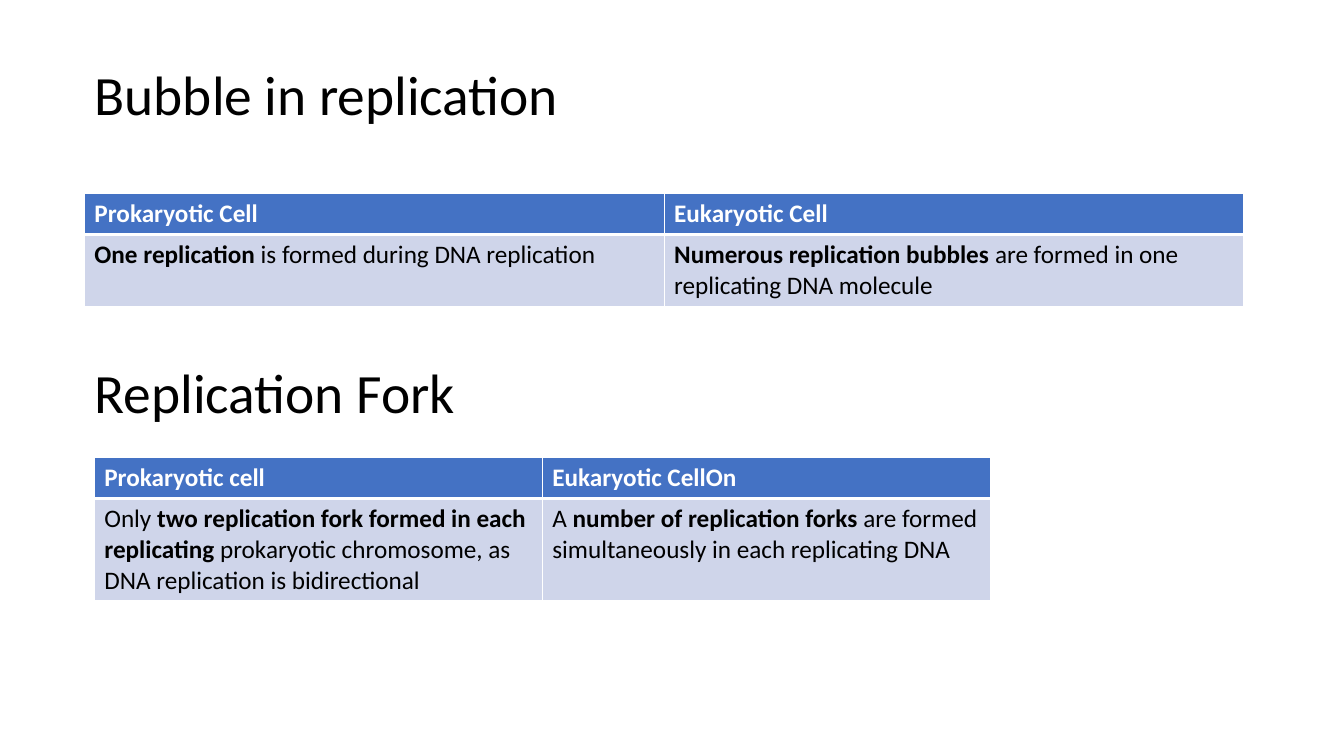
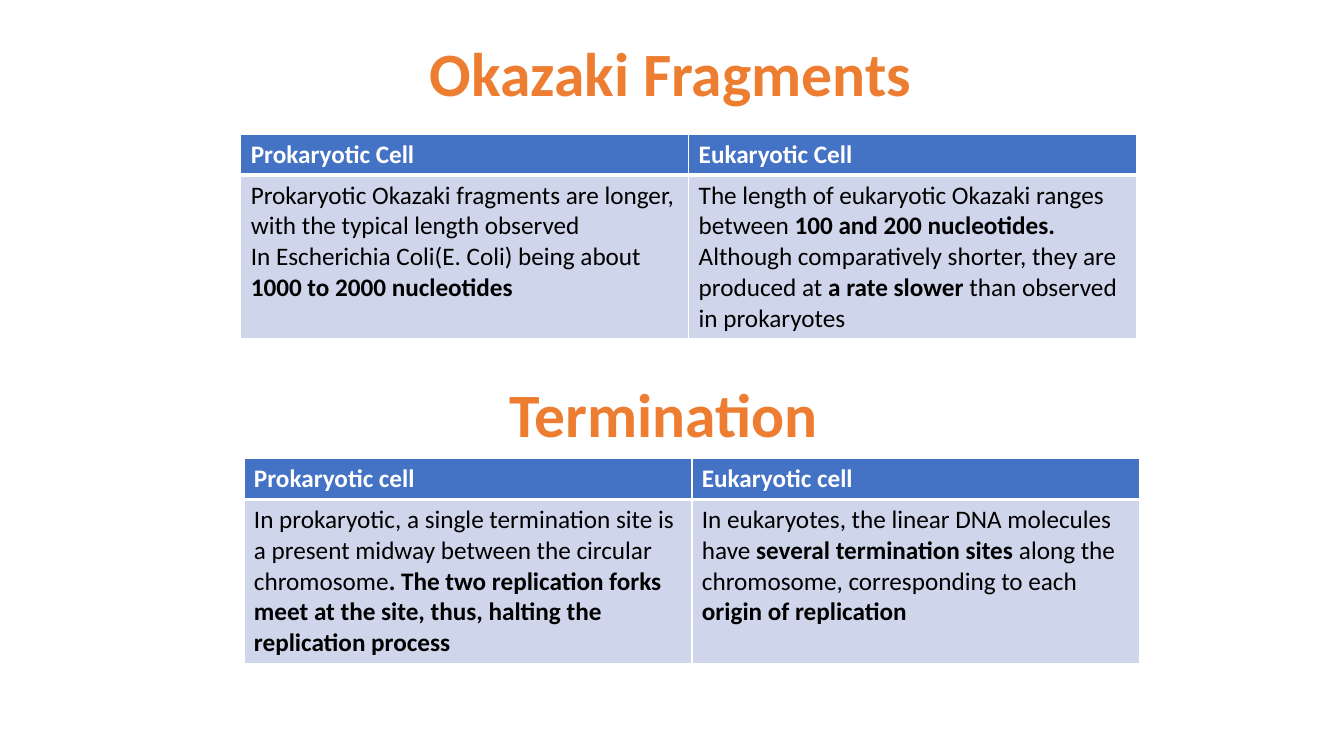
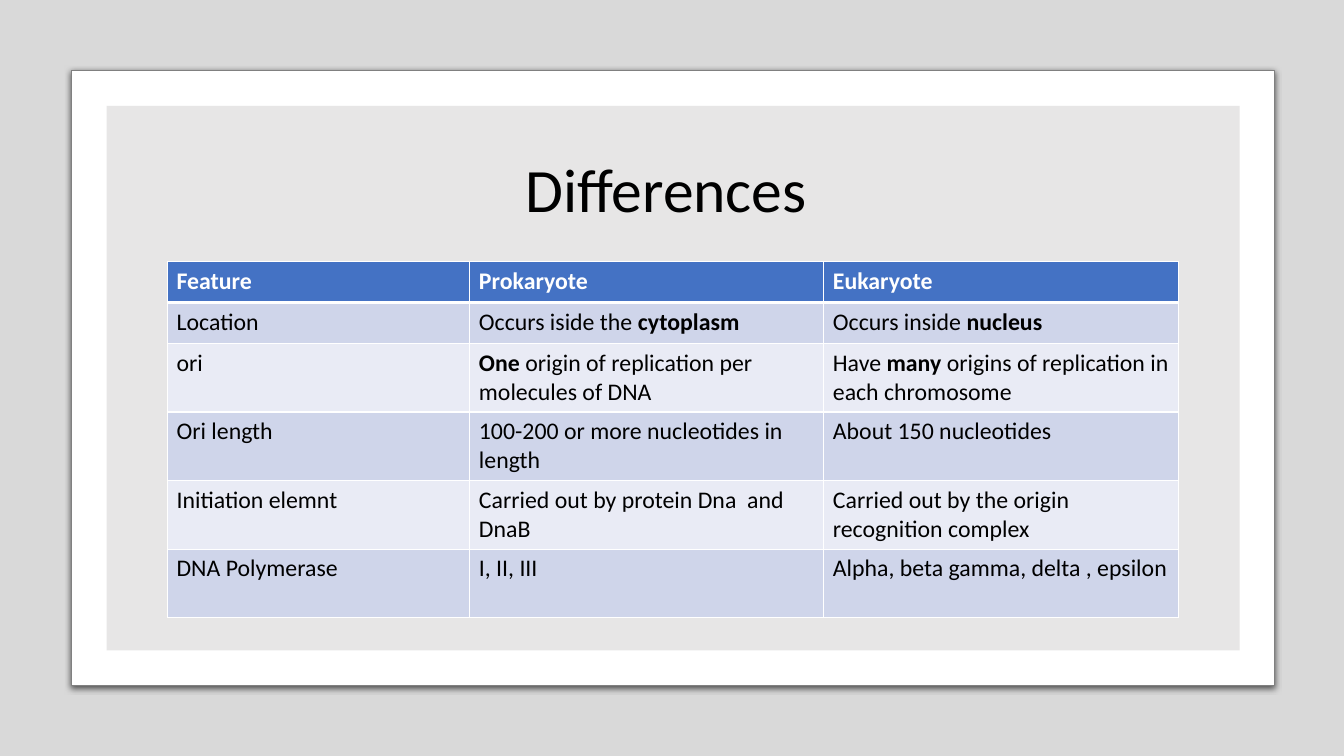
from lxml.etree import SubElement
from pptx import Presentation
from pptx.dml.color import RGBColor
from pptx.enum.shapes import MSO_SHAPE as Shape
from pptx.enum.text import MSO_ANCHOR as Anchor, MSO_AUTO_SIZE as AutoSize, PP_ALIGN as Align
from pptx.oxml.ns import qn
from pptx.util import Cm, Pt

BLACK = RGBColor(0x00, 0x00, 0x00)
WHITE = RGBColor(0xFF, 0xFF, 0xFF)
ORANGE = RGBColor(0xED, 0x7D, 0x31)
BLUE = RGBColor(0x44, 0x72, 0xC4)
BAND_DARK = RGBColor(0xCF, 0xD5, 0xEA)
BAND_LIGHT = RGBColor(0xE9, 0xEB, 0xF5)
PANEL = RGBColor(0xE7, 0xE6, 0xE6)
OUTLINE = RGBColor(0x80, 0x80, 0x80)

FONT = "Calibri"
WIDTH, HEIGHT = 33.87, 19.05
TITLE_AND_BODY, TITLE_ONLY = 1, 5
HEADER_HEIGHT = 1.03
HEADING_WIDTH = 29.21
WIDE, NARROW = [14.61] * 2, [11.29] * 2


def write(frame, text, size=18, color=BLACK, bold=False, align=Align.LEFT, spacing=1.0):
    """Fill a text frame; lines become paragraphs and ** toggles bold."""
    for number, line in enumerate(text.split("\n")):
        paragraph = frame.add_paragraph() if number else frame.paragraphs[0]
        paragraph.alignment = align
        paragraph.line_spacing = spacing
        paragraph.space_before = Pt(0)
        for part, words in enumerate(line.split("**")):
            if words:
                run = paragraph.add_run()
                run.text = words
                run.font.name = FONT
                run.font.size = Pt(size)
                run.font.bold = bold or part % 2 == 1
                run.font.color.rgb = color


class Deck:
    """Holds the shared style and the current slide."""

    def __init__(self):
        self.presentation = Presentation()
        self.presentation.slide_width = Cm(WIDTH)
        self.presentation.slide_height = Cm(HEIGHT)
        self.slide = None

    def new_slide(self, layout=TITLE_AND_BODY):
        self.slide = self.presentation.slides.add_slide(self.presentation.slide_layouts[layout])

    def heading(self, index, text, left, middle, width=HEADING_WIDTH, height=2.6, **style):
        """Place a title or body placeholder, centred on a height, in front."""
        holder = self.slide.placeholders[index]
        holder.left, holder.top = Cm(left), Cm(middle - height / 2)
        holder.width, holder.height = Cm(width), Cm(height)
        frame = holder.text_frame
        frame.word_wrap = True
        frame.auto_size = AutoSize.NONE
        frame.vertical_anchor = Anchor.MIDDLE
        properties = frame.paragraphs[0]._p.get_or_add_pPr()
        properties.set("marL", "0")
        properties.set("indent", "0")
        SubElement(properties, qn("a:buNone"))
        write(frame, text, spacing=0.9, **style)
        self.slide.shapes._spTree.append(holder._element)

    def panel(self, left, top, width, height, fill, kind=Shape.RECTANGLE, line=None,
              alpha=None, shadow=False):
        panel = self.slide.shapes.add_shape(kind, Cm(left), Cm(top), Cm(width), Cm(height))
        panel.shadow.inherit = False
        panel.fill.solid()
        panel.fill.fore_color.rgb = fill
        if kind == Shape.ROUNDED_RECTANGLE:
            panel.adjustments[0] = 0
        if line is None:
            panel.line.fill.background()
        else:
            panel.line.color.rgb = line
            panel.line.width = Pt(0.75)
        properties = panel._element.spPr
        if alpha:
            color = properties.find(qn("a:solidFill")).find(qn("a:srgbClr"))
            SubElement(color, qn("a:alpha"), val=str(alpha * 1000))
        if shadow:
            outer = SubElement(properties.find(qn("a:effectLst")), qn("a:outerShdw"),
                               blurRad=str(Pt(4.5)), dist=str(Pt(1.5)), dir="5400000")
            color = SubElement(outer, qn("a:srgbClr"), val=str(BLACK))
            SubElement(color, qn("a:alpha"), val="63000")

    def border(self, cell, header):
        """Draw white rules, with a thick one under the header."""
        widths = {"a:lnL": 1, "a:lnR": 1}
        if header:
            widths["a:lnT"] = 1
        widths["a:lnB"] = 3 if header else 1
        properties = cell._tc.get_or_add_tcPr()
        for side, width in widths.items():
            rule = SubElement(properties, qn(side), w=str(Pt(width)))
            SubElement(SubElement(rule, qn("a:solidFill")), qn("a:srgbClr"), val=str(WHITE))

    def table(self, left, top, columns, heights, rows, size=18, inset=0.25):
        heights = [HEADER_HEIGHT, *heights]
        table = self.slide.shapes.add_table(
            len(rows), len(columns), Cm(left), Cm(top),
            Cm(sum(columns)), Cm(sum(heights))).table
        table.horz_banding = False
        for column, width in zip(table.columns, columns):
            column.width = Cm(width)
        for number, (row, height, texts) in enumerate(zip(table.rows, heights, rows)):
            row.height = Cm(height)
            header = number == 0
            band = BAND_DARK if number % 2 else BAND_LIGHT
            for cell, text in zip(row.cells, texts):
                cell.margin_left = cell.margin_right = Cm(inset)
                self.border(cell, header)
                cell.fill.solid()
                cell.fill.fore_color.rgb = BLUE if header else band
                write(cell.text_frame, text, size=size, bold=header,
                      color=WHITE if header else BLACK)


def bubble_and_fork(deck):
    deck.new_slide()
    deck.heading(0, "Bubble in replication", 2.13, 2.45, size=39.6)
    deck.heading(1, "Replication Fork", 2.13, 9.96, size=39.6)
    deck.table(2.13, 4.88, WIDE, [1.79], [
        ["Prokaryotic Cell", "Eukaryotic Cell"],
        ["**One replication **is formed during DNA replication",
         "**Numerous replication bubbles **are formed in one replicating DNA molecule"],
    ])
    deck.table(2.38, 11.53, NARROW, [2.53], [
        ["Prokaryotic cell", "Eukaryotic CellOn"],
        ["Only **two replication fork formed in each replicating **prokaryotic chromosome, "
         "as DNA replication is bidirectional",
         "A **number of replication forks **are formed simultaneously in each replicating DNA"],
    ])


def fragments_and_termination(deck):
    deck.new_slide()
    accent = dict(size=44, color=ORANGE, bold=True, align=Align.CENTER)
    deck.heading(0, "Okazaki Fragments", 2.3, 1.92, **accent)
    deck.heading(1, "Termination", 2.13, 10.52, **accent)
    deck.table(6.07, 3.38, NARROW, [4.07], [
        ["Prokaryotic Cell", "Eukaryotic Cell"],
        ["Prokaryotic Okazaki fragments are longer, with the typical length observed\n"
         "In Escherichia Coli(E. Coli) being about **1000 to 2000 nucleotides**",
         "The length of eukaryotic Okazaki ranges between **100 and 200 nucleotides. **"
         "Although comparatively shorter, they are produced at **a rate slower **"
         "than observed in prokaryotes"],
    ])
    deck.table(6.15, 11.56, NARROW, [4.07], [
        ["Prokaryotic cell", "Eukaryotic cell"],
        ["In prokaryotic, a single termination site is a present midway between the circular "
         "chromosome**. The two replication forks meet at the site, thus, halting the "
         "replication process**",
         "In eukaryotes, the linear DNA molecules have **several termination sites **along "
         "the chromosome, corresponding to each **origin of replication**"],
    ])


def differences(deck):
    deck.new_slide(TITLE_ONLY)
    deck.panel(0, 0, WIDTH, HEIGHT, BLACK, alpha=15)
    deck.panel(1.8, 1.78, 30.33, 15.49, WHITE, kind=Shape.ROUNDED_RECTANGLE,
               line=OUTLINE, shadow=True)
    deck.panel(2.69, 2.67, 28.55, 13.72, PANEL)
    deck.heading(0, "Differences ", 3.58, 4.85, width=26.77, size=44, align=Align.CENTER)
    deck.table(4.22, 6.59, [7.62, 8.92, 8.94], [HEADER_HEIGHT] + [1.73] * 4, [
        ["Feature", "Prokaryote", "Eukaryote"],
        ["Location", "Occurs iside the **cytoplasm**", "Occurs inside **nucleus**"],
        ["ori", "**One** origin of replication per molecules of DNA",
         "Have **many** origins of replication in each chromosome"],
        ["Ori length", "100-200 or more nucleotides in length", "About 150 nucleotides"],
        ["Initiation elemnt", "Carried out by protein Dna  and DnaB",
         "Carried out by the origin recognition complex"],
        ["DNA Polymerase", "I, II, III", "Alpha, beta gamma, delta , epsilon"],
    ], size=17, inset=0.23)


def main():
    deck = Deck()
    bubble_and_fork(deck)
    fragments_and_termination(deck)
    differences(deck)
    deck.presentation.save("out.pptx")


if __name__ == "__main__":
    main()
